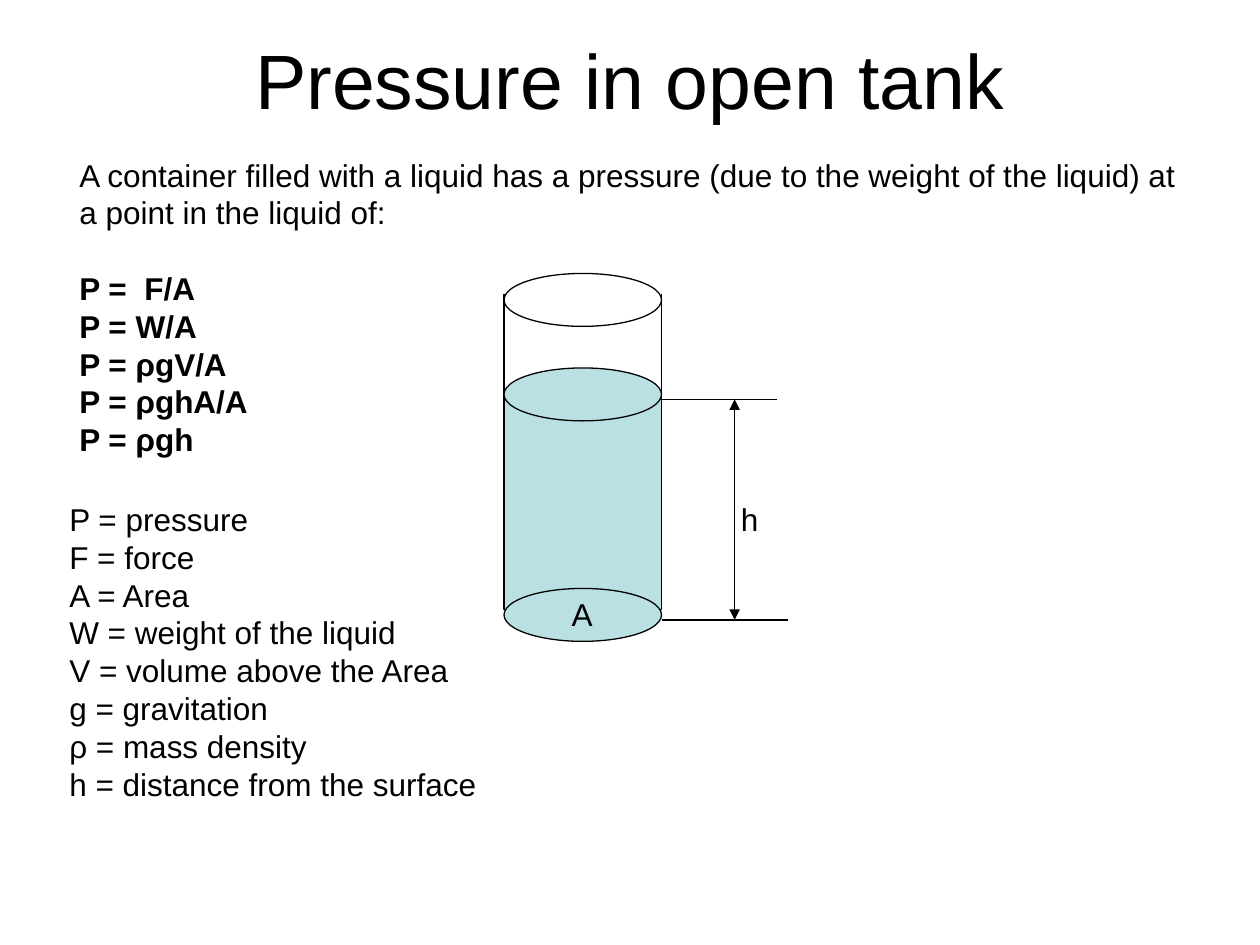
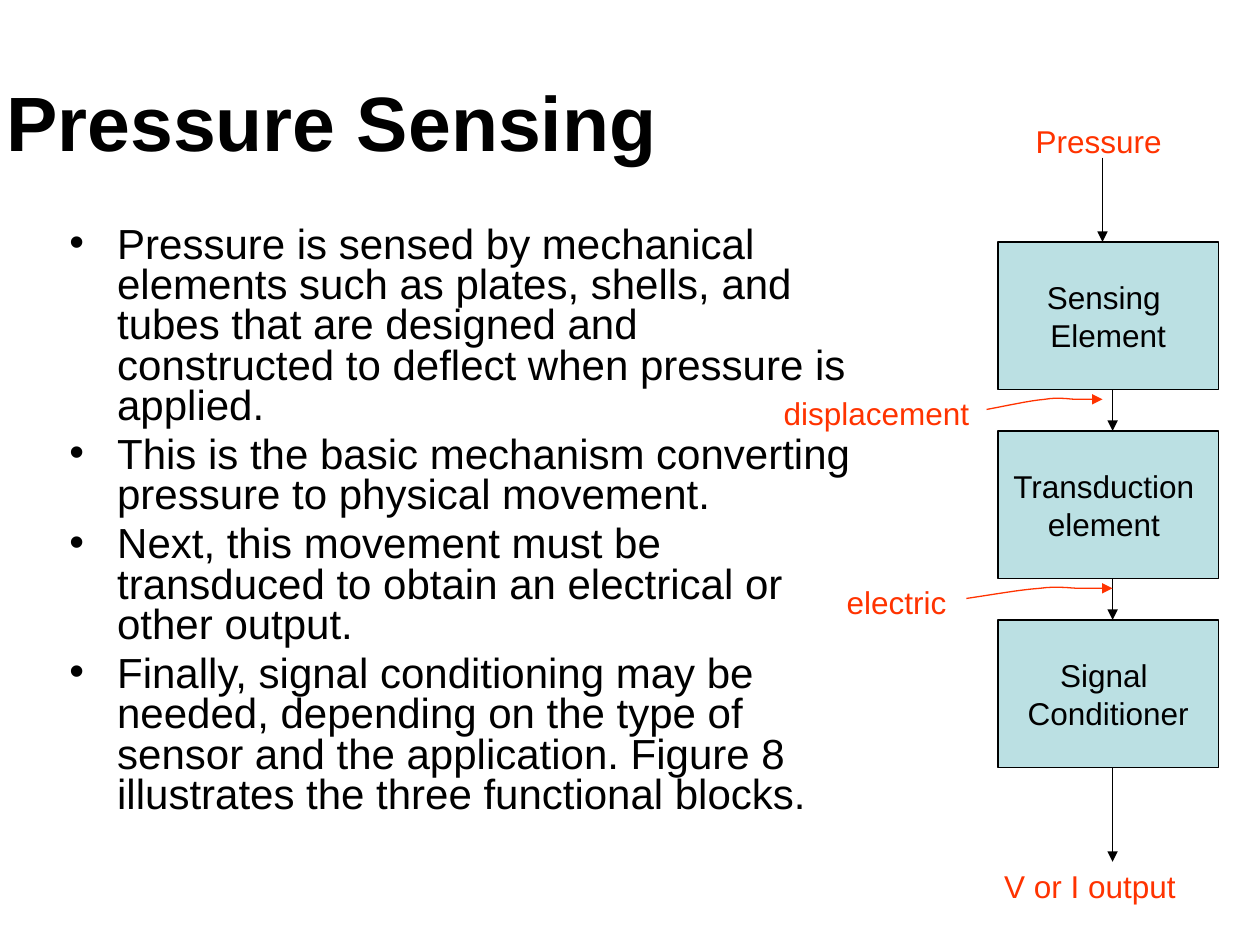
import pptx
import pptx.util
import pptx.dml.color
import pptx.enum.shapes
import pptx.enum.text
import pptx.oxml.ns
from lxml import etree

Inches, Pt = pptx.util.Inches, pptx.util.Pt
RGBColor = pptx.dml.color.RGBColor
MSO_SHAPE = pptx.enum.shapes.MSO_SHAPE
PP_ALIGN = pptx.enum.text.PP_ALIGN
MSO_ANCHOR = pptx.enum.text.MSO_ANCHOR
qn = pptx.oxml.ns.qn

BLACK = RGBColor(0x00, 0x00, 0x00)
ORANGE = RGBColor(0xFF, 0x33, 0x00)
AQUA = RGBColor(0xBB, 0xE0, 0xE3)
FONT = "Arial"
INSET = Inches(0.05)
LINE_WIDTH = Pt(0.75)


def write(frame, lines, size=18, color=BLACK, bold=False, align=PP_ALIGN.LEFT, anchor=MSO_ANCHOR.TOP):
    """Fill a text frame with one formatted paragraph per line."""
    frame.text = "\n".join(lines)
    frame.word_wrap = True
    frame.auto_size = pptx.enum.text.MSO_AUTO_SIZE.NONE
    frame.vertical_anchor = anchor
    frame.margin_left = frame.margin_right = INSET
    frame.margin_top = frame.margin_bottom = INSET
    for para in frame.paragraphs:
        para.alignment = align
        para.space_before = Pt(0)
        for span in para.runs:
            span.font.name = FONT
            span.font.size = Pt(size)
            span.font.bold = bold
            span.font.color.rgb = color


def place(shape, left, top, width, height):
    """Move and size a placeholder in inches."""
    shape.left, shape.top = Inches(left), Inches(top)
    shape.width, shape.height = Inches(width), Inches(height)


def add_title(page, text, left, top, **style):
    """Write the slide title in its placeholder."""
    title = page.shapes.title
    place(title, left, top, 9, 1.25)
    write(title.text_frame, [text], size=44, anchor=MSO_ANCHOR.MIDDLE, **style)


def add_text(page, left, top, width, height, lines, **style):
    """Add a text box and return its frame."""
    box = page.shapes.add_textbox(Inches(left), Inches(top), Inches(width), Inches(height))
    write(box.text_frame, lines, **style)
    return box.text_frame


def add_outlined(page, kind, left, top, width, height, fill=AQUA):
    """Add a preset shape with a thin black outline."""
    shape = page.shapes.add_shape(kind, Inches(left), Inches(top), Inches(width), Inches(height))
    shape.shadow.inherit = False
    shape.line.color.rgb = BLACK
    shape.line.width = LINE_WIDTH
    if fill is None:
        shape.fill.background()
    else:
        shape.fill.solid()
        shape.fill.fore_color.rgb = fill
    return shape


def style_line(shape, color, ends):
    """Colour a line and put triangles at the named ends."""
    shape.line.color.rgb = color
    shape.line.width = LINE_WIDTH
    outline = shape.line._get_or_add_ln()
    for end in ends:
        etree.SubElement(outline, qn(f"a:{end}"), type="triangle")


def add_line(page, x1, y1, x2, y2, ends=()):
    """Add a straight black line, with arrowheads if asked for."""
    line = page.shapes.add_connector(
        pptx.enum.shapes.MSO_CONNECTOR.STRAIGHT, Inches(x1), Inches(y1), Inches(x2), Inches(y2))
    style_line(line, BLACK, ends)
    etree.SubElement(line._element.spPr, qn("a:effectLst"))


def add_curved_arrow(page, x1, x2, y):
    """Add a curved orange arrow that rises slightly from x1 to x2."""
    controls = [(0, 0), (0.18, -0.03), (0.37, -0.07), (0.5, -0.08), (0.63, -0.1),
                (0.71, -0.08), (0.78, -0.08), (0.87, -0.08), (0.93, -0.08), (1, -0.08)]
    steps = 8
    points = []
    for start in range(0, len(controls) - 1, 3):
        curve = controls[start:start + 4]
        for step in range(1, steps + 1):
            t = step / steps
            weights = ((1 - t) ** 3, 3 * t * (1 - t) ** 2, 3 * t ** 2 * (1 - t), t ** 3)
            across, rise = (sum(w * c[axis] for w, c in zip(weights, curve)) for axis in (0, 1))
            points.append((Inches(x1 + across * (x2 - x1)), Inches(y + rise)))
    builder = page.shapes.build_freeform(Inches(x1), Inches(y))
    builder.add_line_segments(points, close=False)
    arrow = builder.convert_to_shape()
    arrow.fill.background()
    arrow.shadow.inherit = False
    style_line(arrow, ORANGE, ["tailEnd"])


def add_tank(page, left, top):
    """Draw the open tank with its liquid and the height dimension."""
    width, rim = 1.25, 0.42
    right = left + width
    surface, bottom = top + 1, top + 2.75
    add_outlined(page, MSO_SHAPE.RECTANGLE, left, surface, width, 1.67)
    add_outlined(page, MSO_SHAPE.OVAL, left, top + 2.5, width, rim)
    add_text(page, left + 0.42, top + 2.51, 0.4, 0.38, ["A"],
             align=PP_ALIGN.CENTER, anchor=MSO_ANCHOR.MIDDLE)
    for wall in (left, right):
        add_line(page, wall, top + 0.16, wall, top + 2.66)
    add_outlined(page, MSO_SHAPE.OVAL, left, top, width, rim, fill=None)
    add_outlined(page, MSO_SHAPE.OVAL, left, top + 0.75, width, rim)
    add_line(page, right, surface, right + 0.92, surface)
    add_line(page, right, bottom, right + 1, bottom)
    add_line(page, right + 0.58, surface, right + 0.58, bottom, ["headEnd", "tailEnd"])
    add_text(page, right + 0.58, top + 1.75, 0.33, 0.38, ["h"])


def add_sensor_chain(page, left, top):
    """Draw the three functional blocks with their signals."""
    width, height, pitch = 1.75, 1.17, 1.5
    axis = left + 0.91
    blocks = [("Sensing ", "Element"), ("Transduction ", "element "), ("Signal ", "Conditioner")]
    drops = [pitch - height, pitch - height, 0.75]
    add_line(page, axis - 0.08, top - 0.67, axis - 0.08, top, ["tailEnd"])
    for index, (lines, drop) in enumerate(zip(blocks, drops)):
        block_top = top + index * pitch
        bottom = block_top + height
        block = add_outlined(page, MSO_SHAPE.RECTANGLE, left, block_top, width, height)
        write(block.text_frame, lines, align=PP_ALIGN.CENTER, anchor=MSO_ANCHOR.MIDDLE)
        add_line(page, axis, bottom, axis, bottom + drop, ["tailEnd"])
    signals = [("Pressure", 0.25, -1, 1.33), ("displacement", -1.75, 1.16, 1.83),
               ("electric", -1.25, 2.66, 1.17), ("V or I output", 0, 4.91, 1.83)]
    for text, dx, dy, label_width in signals:
        add_text(page, left + dx, top + dy, label_width, 0.38, [text], color=ORANGE)
    add_curved_arrow(page, left - 0.09, axis - 0.08, top + 1.33)
    add_curved_arrow(page, left - 0.25, axis, top + 2.83)


def build_tank_slide(deck):
    """Build the slide on pressure in an open tank."""
    page = deck.slides.add_slide(deck.slide_layouts[5])
    add_title(page, "Pressure in open tank", 0.5, 0, align=PP_ALIGN.CENTER)
    derivation = add_text(page, 0.58, 1.22, 8.97, 2.43, [
        "A container filled with a liquid has a pressure (due to the weight of the liquid) "
        "at a point in the liquid of:",
        "P =  F/A", "P = W/A", "P = ρgV/A", "P = ρghA/A", "P = ρgh",
    ], anchor=MSO_ANCHOR.MIDDLE)
    equations = derivation.paragraphs[1:]
    equations[0].space_before = Pt(21.6)
    for para in equations:
        para.runs[0].font.bold = True
    add_text(page, 0.5, 3.92, 3.58, 2.43, [
        "P = pressure", "F = force", "A = Area", "W = weight of the liquid",
        "V = volume above the Area", "g = gravitation", "ρ = mass density",
        "h = distance from the surface",
    ])
    add_tank(page, 4, 2.17)


def build_sensing_slide(deck):
    """Build the slide on pressure sensing."""
    page = deck.slides.add_slide(deck.slide_layouts[1])
    add_title(page, "Pressure Sensing", 0, 0.33, bold=True)
    body = page.placeholders[1]
    place(body, 0.5, 1.75, 6.33, 5.42)
    write(body.text_frame, [
        "Pressure is sensed by mechanical elements such as plates, shells, and tubes that are "
        "designed and constructed to deflect when pressure is applied.",
        "This is the basic mechanism converting pressure to physical movement.",
        "Next, this movement must be transduced to obtain an electrical or other output.",
        "Finally, signal conditioning may be needed, depending on the type of sensor and the "
        "application. Figure 8 illustrates the three functional blocks.",
    ], size=24)
    for index, para in enumerate(body.text_frame.paragraphs):
        properties = para._p.get_or_add_pPr()
        properties.set("marL", str(Inches(0.38)))
        properties.set("indent", str(-Inches(0.38)))
        para.line_spacing = 0.8
        para.space_before = Pt(5 if index else 0)
    add_sensor_chain(page, 7.92, 1.92)


def main():
    """Build and save the deck."""
    deck = pptx.Presentation()
    deck.slide_width, deck.slide_height = Inches(10), Inches(7.5)
    build_tank_slide(deck)
    build_sensing_slide(deck)
    deck.save("out.pptx")


if __name__ == "__main__":
    main()
